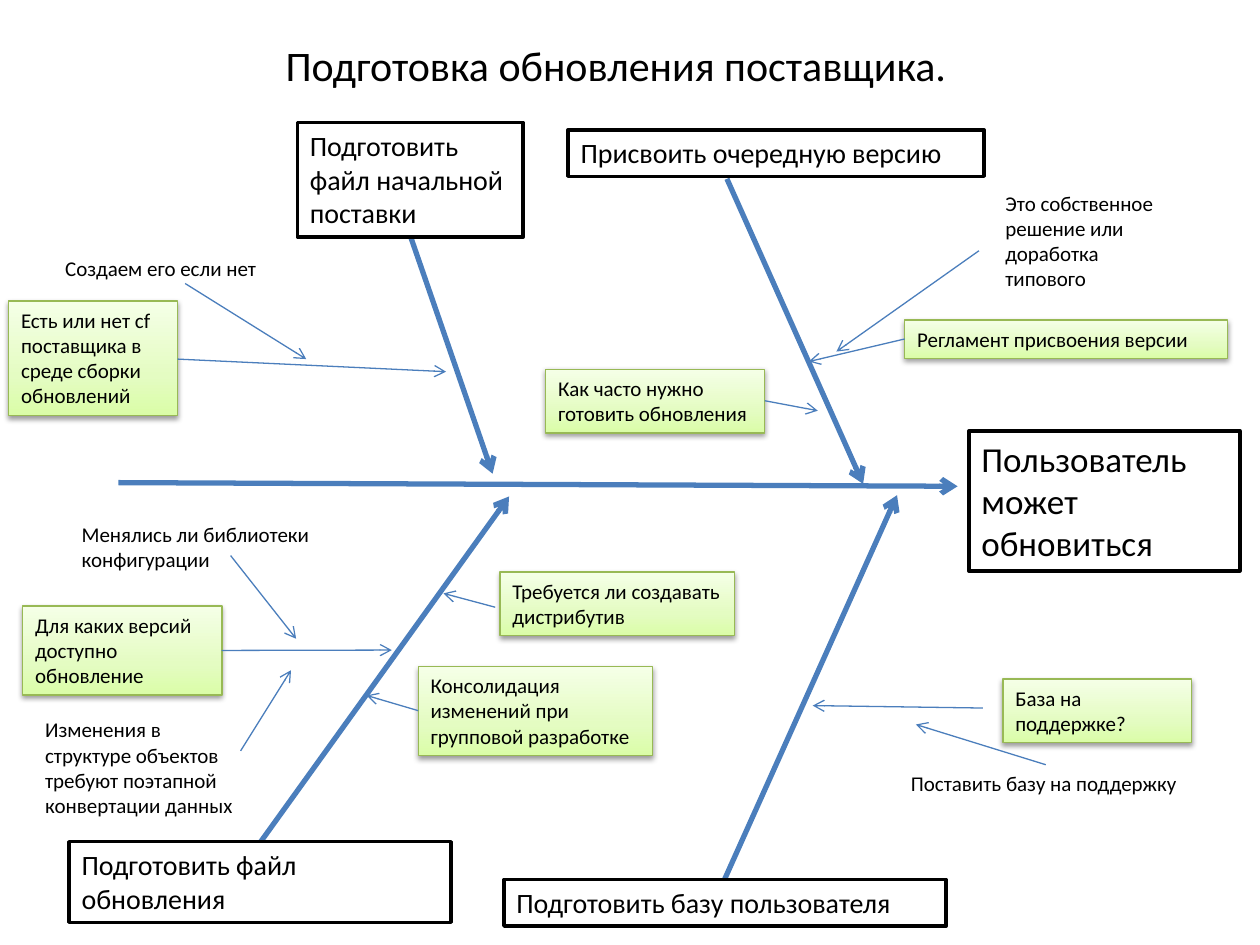
from lxml import etree
from pptx import Presentation
from pptx.dml.color import RGBColor
from pptx.enum.shapes import MSO_CONNECTOR as Connector, MSO_SHAPE as Shape
from pptx.enum.text import MSO_ANCHOR as Anchor, MSO_AUTO_SIZE as AutoSize, PP_ALIGN as Align
from pptx.oxml import parse_xml
from pptx.oxml.ns import nsdecls, qn
from pptx.util import Pt

BLUE, BLACK, WHITE, GREEN = "4B7EBC", "000000", "FFFFFF", "98B955"
GREEN_STOPS = ((0, "DAFDA7"), (35, "E4FCC2"), (100, "F5FFE7"))
SPINE_AREA, LEFT_TOP, RIGHT_TOP = (60, 240), (0, 60), (310, 60)
LEFT_BOTTOM, RIGHT_BOTTOM = (0, 280), (280, 280)


def colour(code):
    """Turn a hex string into a colour."""
    return RGBColor.from_string(code)


def apply(target, values):
    """Set every attribute named in a dict of format values."""
    for name, value in values.items():
        setattr(target, name, value)


def write(box, text, size, **layout):
    """Put one styled paragraph into a box."""
    frame = box.text_frame
    apply(frame, {"word_wrap": True, "vertical_anchor": layout.get("anchor", Anchor.TOP),
                  "auto_size": layout.get("fit", AutoSize.SHAPE_TO_FIT_TEXT)})
    para = frame.paragraphs[0]
    para.alignment = layout.get("align", Align.LEFT)
    span = para.add_run()
    span.text = text
    apply(span.font, {"name": "Calibri", "size": Pt(size)})
    span.font.color.rgb = colour(BLACK)


def frame_size(width, lines, size):
    """Give the size of a box that holds a number of text lines."""
    return Pt(width), Pt(round(7.2 + 1.215 * size * lines, 1))


def add_arrow(page, origin, ends, weight=0.75):
    """Draw an open arrow between two points of a region."""
    x, y = origin
    x1, y1, x2, y2 = ends
    arrow = page.shapes.add_connector(
        Connector.STRAIGHT, Pt(x + x1), Pt(y + y1), Pt(x + x2), Pt(y + y2))
    arrow.line.width = Pt(weight)
    arrow.line.color.rgb = colour(BLUE)
    etree.SubElement(arrow.line._get_or_add_ln(), qn("a:tailEnd"), type="arrow")
    etree.SubElement(arrow._element.spPr, qn("a:effectLst"))


def add_rectangle(page, origin, place, text, size, edge, weight):
    """Add an outlined text rectangle to a region."""
    left, top, width, lines = place
    box = page.shapes.add_shape(Shape.RECTANGLE, Pt(origin[0] + left), Pt(origin[1] + top),
                                *frame_size(width, lines, size))
    box.shadow.inherit = False
    box.line.width = Pt(weight)
    box.line.color.rgb = colour(edge)
    box.fill.solid()
    box.fill.fore_color.rgb = colour(WHITE)
    write(box, text, size)
    return box


def add_step(page, origin, place, text, size=16):
    """Add a white box with a heavy black outline."""
    add_rectangle(page, origin, place, text, size, BLACK, 2)


def add_question(page, origin, place, text):
    """Add a green gradient box with a soft shadow."""
    box = add_rectangle(page, origin, place, text, 12, GREEN, 0.75)
    stops = "".join(f'<a:gs pos="{share * 1000}"><a:srgbClr val="{code}"/></a:gs>'
                    for share, code in GREEN_STOPS)
    properties = box._element.spPr
    properties.replace(properties.find(qn("a:solidFill")), parse_xml(
        f'<a:gradFill {nsdecls("a")} rotWithShape="1"><a:gsLst>{stops}</a:gsLst>'
        '<a:lin ang="16200000" scaled="1"/></a:gradFill>'))
    properties.find(qn("a:effectLst")).append(parse_xml(
        f'<a:outerShdw {nsdecls("a")} blurRad="{Pt(3.1)}" dist="{Pt(1.6)}" dir="5400000" '
        f'rotWithShape="0"><a:srgbClr val="{BLACK}"><a:alpha val="38000"/></a:srgbClr>'
        '</a:outerShdw>'))


def add_note(page, origin, place, text):
    """Add a plain text note."""
    left, top, width, lines = place
    box = page.shapes.add_textbox(Pt(origin[0] + left), Pt(origin[1] + top),
                                  *frame_size(width, lines, 12))
    write(box, text, 12)


def add_title(page, place, text):
    """Add the centred slide title."""
    box = page.shapes.add_textbox(*map(Pt, place))
    write(box, text, 24, anchor=Anchor.MIDDLE, align=Align.CENTER, fit=AutoSize.NONE)


def add_spine(page, origin, ends, place, result):
    """Draw the main arrow and the result it leads to."""
    add_arrow(page, origin, ends, 3)
    add_step(page, origin, place, result, 20)


def add_branch(page, origin, step, bone, causes):
    """Draw one bone with its step and its causes, each with an arrow."""
    add_arrow(page, origin, bone, 3)
    add_step(page, origin, *step)
    for add_cause, place, text, ends in causes:
        add_cause(page, origin, place, text)
        add_arrow(page, origin, ends)


BRANCHES = (
    (LEFT_BOTTOM, ((39.6, 201, 218.2, 2), "Подготовить файл обновления"),
     (149, 201, 290.9, 3.7), (
        (add_question, (13, 66.3, 113.8, 3), "Для каких версий доступно обновление",
         (126.7, 91.7, 223.9, 91.5)),
        (add_note, (39.6, 14.5, 146.9, 2), "Менялись ли библиотеки конфигурации",
         (131.8, 37.5, 169.2, 85)),
        (add_note, (18.7, 126.1, 125.3, 4),
         "Изменения в структуре объектов требуют поэтапной конвертации данных",
         (137.5, 149.1, 166.3, 103)),
        (add_question, (239, 100.9, 133.9, 3),
         "Консолидация изменений при групповой разработке", (239, 126.1, 209.5, 117.4)),
        (add_question, (285.8, 46.9, 133.9, 2), "Требуется ли создавать дистрибутив",
         (283, 67, 253.4, 59.1)))),
    (RIGHT_BOTTOM, ((8, 222.6, 252.7, 1), "Подготовить базу пользователя"),
     (134, 222.6, 232.6, 3), (
        (add_question, (293.1, 108.1, 108, 2), "База на поддержке?",
         (281.6, 124.6, 184.4, 123.2)),
        (add_note, (233.4, 157, 170, 1), "Поставить базу на поддержку",
         (317.6, 157, 243.4, 134)))),
    (LEFT_TOP, ((170, 10, 129, 3), "Подготовить файл начальной поставки"),
     (234.7, 75.4, 281.5, 210.7), (
        (add_question, (5, 112, 96.5, 4),
         "Есть или нет cf поставщика в среде сборки обновлений",
         (101.5, 145.2, 254.9, 152.4)),
        (add_note, (30.2, 82.6, 129.6, 1), "Создаем его если нет",
         (105.8, 102, 175, 145.2)))),
    (RIGHT_TOP, ((14.7, 14.2, 237.6, 1), "Присвоить очередную версию"),
     (105.4, 42.2, 183.2, 216.5), (
        (add_question, (1.8, 151, 125.3, 2), "Как часто нужно готовить обновления",
         (127, 169, 157.3, 174.7)),
        (add_question, (207, 122.9, 184.3, 1), "Регламент присвоения версии",
         (207, 133.7, 152.2, 146.6)),
        (add_note, (257.4, 45.1, 101.5, 5), "Это собственное решение или доработка типового",
         (249.4, 83.3, 168, 140.9)))),
)


def main():
    """Build the cause diagram and save it."""
    deck = Presentation()
    apply(deck, {"slide_width": Pt(720), "slide_height": Pt(540)})
    page = deck.slides.add_slide(deck.slide_layouts[6])
    add_title(page, (46, 23.8, 612, 26.6), "Подготовка обновления поставщика.")
    add_spine(page, SPINE_AREA, (7.7, 35.8, 487.2, 37.9), (493.7, 6.2, 154.8, 3),
              "Пользователь может обновиться")
    for branch in BRANCHES:
        add_branch(page, *branch)
    deck.save("out.pptx")


if __name__ == "__main__":
    main()
